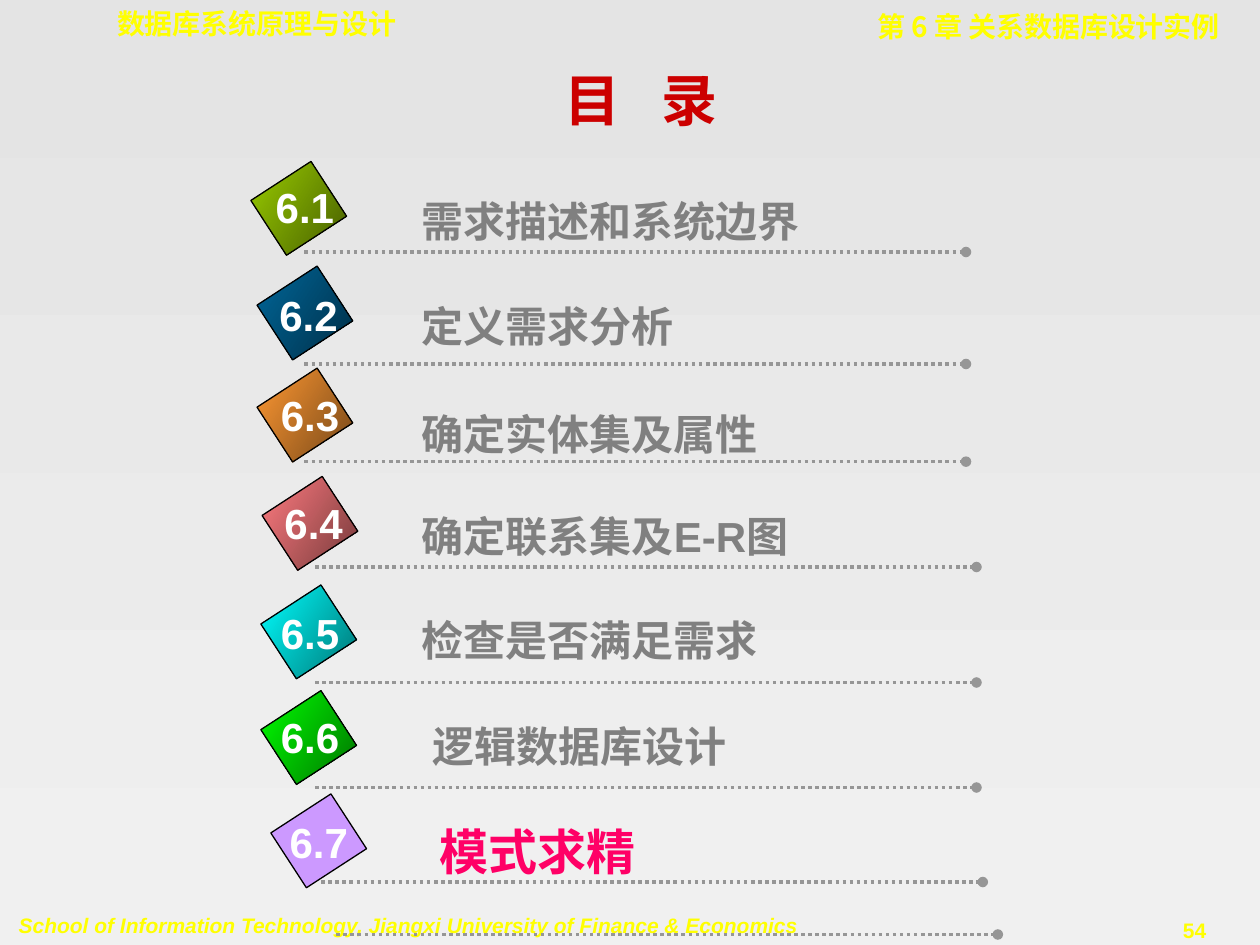
from dataclasses import dataclass

from pptx import Presentation
from pptx.dml.color import RGBColor
from pptx.enum.dml import MSO_LINE
from pptx.enum.shapes import MSO_CONNECTOR, MSO_SHAPE
from pptx.enum.text import MSO_ANCHOR, MSO_AUTO_SIZE, PP_ALIGN as Align
from pptx.oxml.ns import qn
from pptx.slide import Slide
from pptx.util import Pt

YELLOW = RGBColor(0xFF, 0xFF, 0x00)
RED = RGBColor(0xCC, 0x00, 0x00)
PINK = RGBColor(0xFF, 0x00, 0x66)
GRAY = RGBColor(0x80, 0x80, 0x80)
LINE_GRAY = RGBColor(0x96, 0x96, 0x96)
WHITE = RGBColor(0xFF, 0xFF, 0xFF)
BLACK = RGBColor(0x00, 0x00, 0x00)
PALE_TOP = RGBColor(0xE4, 0xE4, 0xE4)
PALE_BOTTOM = RGBColor(0xF0, 0xF0, 0xF0)
OLIVE, DARK_OLIVE = RGBColor(0x99, 0xCC, 0x00), RGBColor(0x47, 0x5E, 0x00)
BLUE, DARK_BLUE = RGBColor(0x00, 0x66, 0x99), RGBColor(0x00, 0x2F, 0x47)
ORANGE, DARK_ORANGE = RGBColor(0xFF, 0x99, 0x33), RGBColor(0x76, 0x47, 0x18)
CORAL, DARK_CORAL = RGBColor(0xFF, 0x7C, 0x80), RGBColor(0x76, 0x39, 0x3B)
CYAN, DARK_CYAN = RGBColor(0x00, 0xFF, 0xFF), RGBColor(0x00, 0x75, 0x75)
GREEN, DARK_GREEN = RGBColor(0x00, 0xFF, 0x00), RGBColor(0x00, 0x75, 0x00)
LILAC = RGBColor(0xCC, 0x99, 0xFF)

CHAPTERS = [
    ("6.1", "需求描述和系统边界", (152, 98.6), (150.5, 100), (234, 108, 318), (174, 144), (OLIVE, DARK_OLIVE)),
    ("6.2", "定义需求分析", (155.5, 158.4), (152.6, 162), (234, 168, 294), (174, 208), (BLUE, DARK_BLUE)),
    ("6.3", "确定实体集及属性", (155.5, 216.7), (153.4, 219), (234, 229.7, 330), (174, 263.8), (ORANGE, DARK_ORANGE)),
    ("6.4", "确定联系集及E-R图", (158.4, 278.6), (155.5, 280.8), (234, 288, 264), (180, 324), (CORAL, DARK_CORAL)),
    ("6.5", "检查是否满足需求", (157.7, 340.6), (153.4, 343.4), (234, 347.8, 264), (180, 390), (CYAN, DARK_CYAN)),
    ("6.6", "逻辑数据库设计", (157.7, 401), (153.4, 403.2), (239.8, 408, 264), (180, 450), (GREEN, DARK_GREEN)),
    ("6.7", "模式求精", (163.4, 460), (158.4, 463), (244, 465.8, 264), (183.6, 504), (LILAC,)),
]


@dataclass
class ContentsSlide:
    """Draws the elements of a contents page in one consistent style."""

    slide: Slide
    font: str = "Arial"
    asian_font: str = "Noto Sans CJK SC"
    rule_length: float = 378

    def gradient(self, fill, colors, angle):
        fill.gradient()
        fill.gradient_angle = 360 - angle
        for stop, color, position in zip(fill.gradient_stops, colors, (0, 1)):
            stop.color.rgb = color
            stop.position = position

    def run(self, paragraph, text, size, color, font=None, italic=False):
        run = paragraph.add_run()
        run.text = text
        run.font.size = Pt(size)
        run.font.bold = True
        run.font.italic = italic
        run.font.color.rgb = color
        run.font.name = font or self.font
        east_asian = run.font._element.makeelement(qn("a:ea"), {"typeface": self.asian_font})
        run.font._element.find(qn("a:latin")).addnext(east_asian)
        return run

    def box(self, left, top, width, height, align=Align.LEFT, wrap=True, parent=None):
        shapes = (parent or self.slide).shapes
        frame = shapes.add_textbox(Pt(left), Pt(top), Pt(width), Pt(height)).text_frame
        frame.word_wrap = wrap
        frame.auto_size = MSO_AUTO_SIZE.SHAPE_TO_FIT_TEXT
        frame.paragraphs[0].alignment = align
        return frame

    def text(self, area, text, size, color, align=Align.LEFT, wrap=True, parent=None, font=None, italic=False):
        frame = self.box(*area, align, wrap, parent)
        self.run(frame.paragraphs[0], text, size, color, font, italic)

    def title(self, area, first, last):
        frame = self.box(*area, Align.CENTER)
        frame.auto_size = MSO_AUTO_SIZE.NONE
        frame.vertical_anchor = MSO_ANCHOR.MIDDLE
        paragraph = frame.paragraphs[0]
        for part in (first, " ", last):
            run = self.run(paragraph, part, 32, RED, "Times New Roman")
            if part == " ":
                run.font._element.set("spc", "1600")

    def rule(self, left, top):
        line = self.slide.shapes.add_connector(
            MSO_CONNECTOR.STRAIGHT, Pt(left), Pt(top), Pt(left + self.rule_length), Pt(top))
        line.line.color.rgb = LINE_GRAY
        line.line.width = Pt(2)
        line.line.dash_style = MSO_LINE.ROUND_DOT
        properties = line._element.spPr
        outline = properties.find(qn("a:ln"))
        outline.append(outline.makeelement(qn("a:tailEnd"), {"type": "oval"}))
        properties.append(properties.makeelement(qn("a:effectLst"), {}))

    def badge(self, number, tile_place, number_place, colors):
        group = self.slide.shapes.add_group_shape()
        left, top = tile_place
        tile = group.shapes.add_shape(MSO_SHAPE.RECTANGLE, Pt(left), Pt(top), Pt(37.4), Pt(41))
        tile.rotation = 57
        tile.shadow.inherit = False
        if len(colors) == 1:
            tile.fill.solid()
            tile.fill.fore_color.rgb = colors[0]
        else:
            self.gradient(tile.fill, colors, 33)
            tile._element.spPr.find(qn("a:gradFill")).set("rotWithShape", "0")
        tile.line.color.rgb = BLACK
        tile.line.width = Pt(0.75)
        self.text((*number_place, 47.5, 36), number, 24, WHITE, Align.CENTER, False, group)

    def chapter(self, number, name, tile_place, number_place, label_place, rule_place, colors, current):
        left, top, width = label_place
        size, color = (28, PINK) if current else (24, GRAY)
        self.rule(*rule_place)
        self.text((left, top, width, size * 1.5), name, size, color)
        self.badge(number, tile_place, number_place, colors)


def main():
    presentation = Presentation()
    presentation.slide_width, presentation.slide_height = Pt(720), Pt(540)
    slide = presentation.slides.add_slide(presentation.slide_layouts[6])
    page = ContentsSlide(slide)
    page.gradient(slide.background.fill, (PALE_TOP, PALE_BOTTOM), 90)
    page.text((646.6, 520.6, 72, 21.6), "54", 12, YELLOW, Align.CENTER, False)
    page.text((3.6, 517.7, 460.8, 21.6),
              "School of Information Technology, Jiangxi University of Finance & Economics",
              12, YELLOW, wrap=False, italic=True)
    page.text((59.8, 0, 263.5, 26.6), "数据库系统原理与设计", 16, YELLOW, font="DejaVu Sans Mono")
    page.text((391, 2.2, 313.2, 26.6), "第 6 章 关系数据库设计实例", 16, YELLOW,
              Align.RIGHT, font="Noto Sans CJK SC")
    page.title((138.2, 36, 455.8, 41.8), "目", "录")
    for chapter in CHAPTERS:
        page.chapter(*chapter, current=chapter is CHAPTERS[-1])
    page.rule(192.2, 534)
    presentation.save("out.pptx")


if __name__ == "__main__":
    main()
